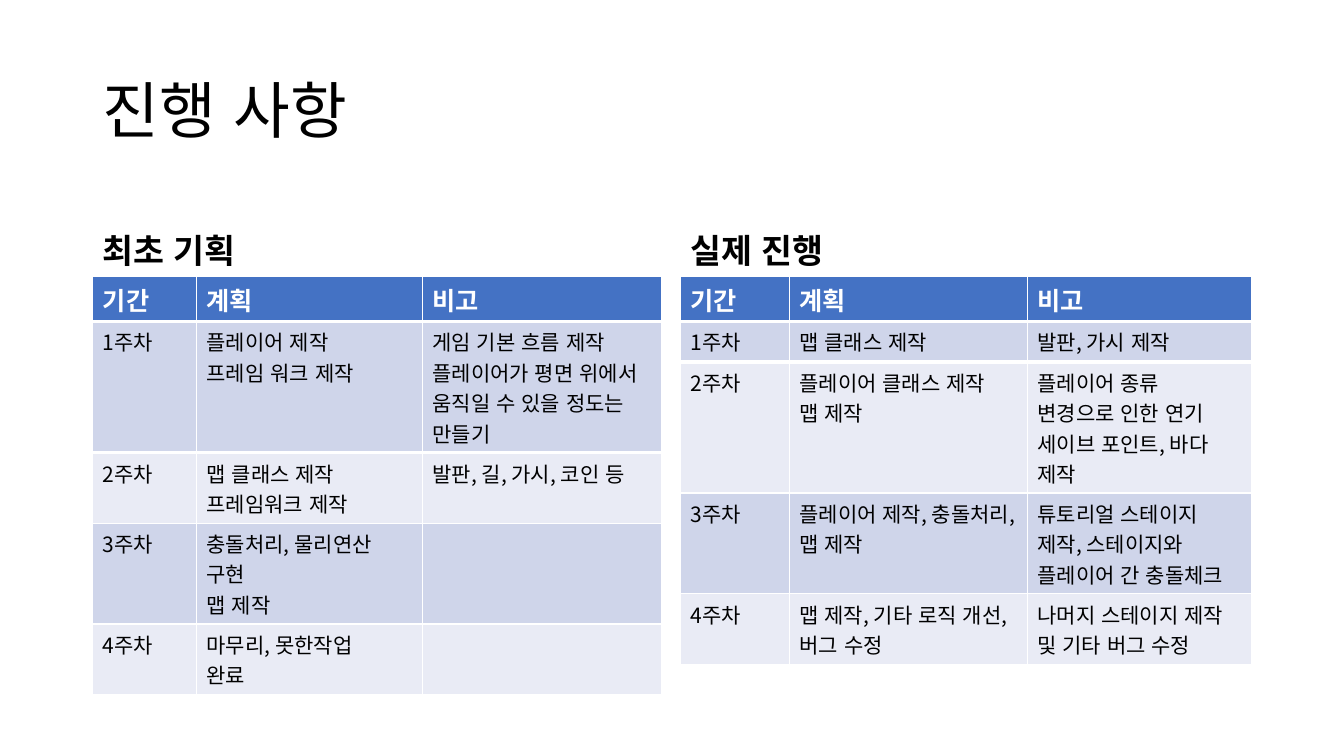
import pptx
import pptx.util
import pptx.dml.color
import pptx.enum.text
import pptx.enum.lang
import pptx.oxml.ns
import lxml.etree

# Content; "lines" is the number of text lines each week takes
TITLE = "진행 사항"
HEADER = ["기간", "계획", "비고"]
SCHEDULES = [
    {
        "heading": "최초 기획",
        "left": 0.92,
        "columns": [1.03, 2.24, 2.37],
        "lines": [4, 2, 3, 2],
        "weeks": [
            ["1주차", "플레이어 제작\n프레임 워크 제작",
             "게임 기본 흐름 제작\n플레이어가 평면 위에서 움직일 수 있을 정도는 만들기"],
            ["2주차", "맵 클래스 제작\n프레임워크 제작", "발판, 길, 가시, 코인 등"],
            ["3주차", "충돌처리, 물리연산 구현\n맵 제작", ""],
            ["4주차", "마무리, 못한작업\n완료", ""],
        ],
    },
    {
        "heading": "실제 진행",
        "left": 6.75,
        "columns": [1.08, 2.36, 2.22],
        "lines": [1, 4, 3, 2],
        "weeks": [
            ["1주차", "맵 클래스 제작", "발판, 가시 제작"],
            ["2주차", "플레이어 클래스 제작\n맵 제작",
             "플레이어 종류 변경으로 인한 연기\n세이브 포인트, 바다 제작"],
            ["3주차", "플레이어 제작, 충돌처리, 맵 제작",
             "튜토리얼 스테이지 제작, 스테이지와\n플레이어 간 충돌체크"],
            ["4주차", "맵 제작, 기타 로직 개선, 버그 수정",
             "나머지 스테이지 제작\n및 기타 버그 수정"],
        ],
    },
]

# Style
FONT = "Noto Sans CJK KR"
COLORS = {"text": "000000", "header_text": "FFFFFF", "header": "4472C4",
          "odd_week": "CFD5EA", "even_week": "E9EBF5", "rule": "FFFFFF"}
TITLE_BOX = (0.92, 0.4, 11.5, 1.45)
HEADING_TOP, HEADING_HEIGHT = 1.84, 0.9
TABLE_TOP = HEADING_TOP + HEADING_HEIGHT
HEADER_HEIGHT, LINE_HEIGHT, CELL_MARGINS = 0.45, 0.3, 0.1


def inches(*lengths):
    return [pptx.util.Inches(length) for length in lengths]


def rgb(name):
    return pptx.dml.color.RGBColor.from_string(COLORS[name])


def write(frame, text, size, color="text", bold=False, line_spacing=None, before=None):
    frame.text = text
    for paragraph in frame.paragraphs:
        paragraph.alignment = pptx.enum.text.PP_ALIGN.LEFT
        paragraph.line_spacing = line_spacing
        paragraph.space_before = before
        font = paragraph.font
        font.name, font.size, font.bold = FONT, pptx.util.Pt(size), bold
        font.color.rgb = rgb(color)
        font.language_id = pptx.enum.lang.MSO_LANGUAGE_ID.KOREAN
        # Hangul takes the East Asian typeface
        properties = paragraph._p.pPr.find(pptx.oxml.ns.qn("a:defRPr"))
        lxml.etree.SubElement(properties, pptx.oxml.ns.qn("a:ea"), typeface=FONT)


def add_rule(cell, side, points):
    qn = pptx.oxml.ns.qn
    line = lxml.etree.Element(qn(f"a:{side}"), w=str(pptx.util.Pt(points)))
    fill = lxml.etree.SubElement(line, qn("a:solidFill"))
    lxml.etree.SubElement(fill, qn("a:srgbClr"), val=COLORS["rule"])
    cell._tc.get_or_add_tcPr().insert(0, line)


def add_heading(slide, schedule):
    box = slide.shapes.add_textbox(*inches(
        schedule["left"], HEADING_TOP, sum(schedule["columns"]), HEADING_HEIGHT))
    frame = box.text_frame
    frame.word_wrap = True
    frame.vertical_anchor = pptx.enum.text.MSO_ANCHOR.BOTTOM
    write(frame, schedule["heading"], 24, bold=True, line_spacing=0.9,
          before=pptx.util.Pt(10))


def add_schedule(slide, schedule):
    rows = [HEADER] + schedule["weeks"]
    heights = [HEADER_HEIGHT] + [
        lines * LINE_HEIGHT + CELL_MARGINS for lines in schedule["lines"]]
    table = slide.shapes.add_table(len(rows), len(HEADER), *inches(
        schedule["left"], TABLE_TOP, sum(schedule["columns"]), sum(heights))).table
    for column, width in zip(table.columns, schedule["columns"]):
        column.width = pptx.util.Inches(width)
    for week, (texts, height) in enumerate(zip(rows, heights)):
        table.rows[week].height = pptx.util.Inches(height)
        fill = "header" if week == 0 else "odd_week" if week % 2 else "even_week"
        for index, text in enumerate(texts):
            cell = table.cell(week, index)
            cell.fill.solid()
            cell.fill.fore_color.rgb = rgb(fill)
            if week == 0:
                write(cell.text_frame, text, 18, "header_text", bold=True)
                add_rule(cell, "lnB", 3)
            else:
                write(cell.text_frame, text, 15)
                if week == 1:
                    add_rule(cell, "lnT", 3)


def main():
    deck = pptx.Presentation()
    deck.slide_width, deck.slide_height = inches(13.33, 7.5)
    slide = deck.slides.add_slide(deck.slide_layouts.get_by_name("Title Only"))

    # Title
    title = slide.shapes.title
    title.left, title.top, title.width, title.height = inches(*TITLE_BOX)
    title.text_frame.vertical_anchor = pptx.enum.text.MSO_ANCHOR.MIDDLE
    write(title.text_frame, TITLE, 44, line_spacing=0.9)

    # Planned and actual schedules
    for schedule in SCHEDULES:
        add_heading(slide, schedule)
        add_schedule(slide, schedule)

    deck.save("out.pptx")


if __name__ == "__main__":
    main()
